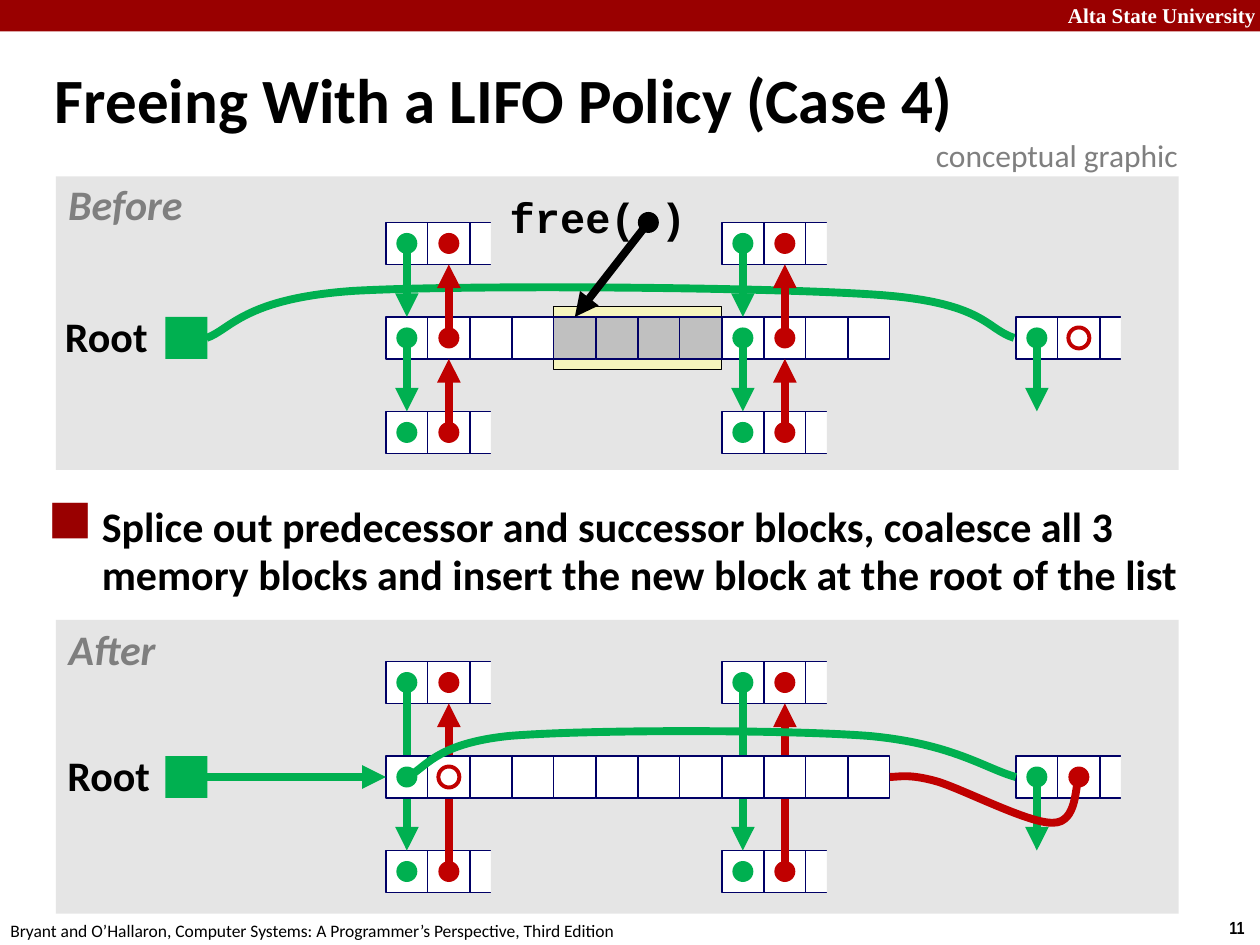
from dataclasses import dataclass
from typing import NamedTuple

from lxml import etree
from pptx import Presentation
from pptx.dml.color import RGBColor
from pptx.enum.shapes import MSO_CONNECTOR, MSO_SHAPE
from pptx.enum.text import MSO_ANCHOR, PP_ALIGN
from pptx.oxml.ns import qn
from pptx.util import Inches, Pt

RECT, OVAL = MSO_SHAPE.RECTANGLE, MSO_SHAPE.OVAL
STRAIGHT = MSO_CONNECTOR.STRAIGHT
TOP, MIDDLE = MSO_ANCHOR.TOP, MSO_ANCHOR.MIDDLE
LEFT, CENTER, RIGHT = PP_ALIGN.LEFT, PP_ALIGN.CENTER, PP_ALIGN.RIGHT

COLORS = {
    "crimson": "990000", "white": "FFFFFF", "black": "000000",
    "panel": "E5E5E5", "muted": "7F7F7F", "navy": "000066",
    "freed": "C0C0C0", "highlight": "F6F5BD",
    "next": "00B050", "prev": "C00000",
}

WIDTH, HEIGHT = Inches(10), Inches(7.5)
CELL = Inches(1) / 3
FIRST_COLUMN = Inches(49) / 16
ROW_PITCH = 2.25
NEIGHBOR_COLUMNS = (0, 8)
TAIL_COLUMN = 15


class Area(NamedTuple):
    left: float
    top: float
    width: float
    height: float

    def lengths(self) -> tuple[int, ...]:
        sides = (WIDTH, HEIGHT, WIDTH, HEIGHT)
        return tuple(round(part * side / 100) for part, side in zip(self, sides))


@dataclass(frozen=True)
class Caption:
    text: str
    area: Area
    size: int
    color: str = "black"
    font: str = "Calibri"
    bold: bool = True
    italic: bool = False
    align: PP_ALIGN = LEFT
    anchor: MSO_ANCHOR = TOP
    inset: float = 0.1
    spacing: float = 1.0
    wrap: bool = False
    bullet: str = ""


@dataclass(frozen=True)
class Heap:
    panel: Area
    row_top: float

    def point(self, column: float, row: float) -> tuple[int, int]:
        return (round(FIRST_COLUMN + column * CELL),
                round(HEIGHT * self.row_top / 100 + row * CELL))


def rgb(color: str) -> RGBColor:
    return RGBColor.from_string(COLORS[color])


def add_figure(kind: MSO_SHAPE, lengths: tuple[int, ...], fill: str = "",
               line: str = "", weight: float = 0.75) -> None:
    figure = slide.shapes.add_shape(kind, *lengths)
    figure.shadow.inherit = False
    if fill:
        figure.fill.solid()
        figure.fill.fore_color.rgb = rgb(fill)
    else:
        figure.fill.background()
    if line:
        figure.line.color.rgb = rgb(line)
        figure.line.width = Pt(weight)
    else:
        figure.line.fill.background()


def add_caption(caption: Caption) -> None:
    frame = slide.shapes.add_textbox(*caption.area.lengths()).text_frame
    frame.word_wrap = caption.wrap
    frame.vertical_anchor = caption.anchor
    frame.margin_left = frame.margin_right = Inches(caption.inset)
    frame.margin_top = frame.margin_bottom = Inches(0.05)
    paragraph = frame.paragraphs[0]
    paragraph.alignment = caption.align
    paragraph.line_spacing = caption.spacing
    if caption.bullet:
        properties = paragraph._p.get_or_add_pPr()
        properties.set("marL", str(Inches(0.38)))
        properties.set("indent", str(-Inches(0.38)))
        tint = etree.SubElement(properties, qn("a:buClr"))
        etree.SubElement(tint, qn("a:srgbClr"), val=COLORS["crimson"])
        etree.SubElement(properties, qn("a:buFont"), typeface="Wingdings 2", charset="2")
        etree.SubElement(properties, qn("a:buChar"), char=caption.bullet)
    run = paragraph.add_run()
    run.text = caption.text
    run.font.name = caption.font
    run.font.size = Pt(caption.size)
    run.font.bold = caption.bold
    run.font.italic = caption.italic
    run.font.color.rgb = rgb(caption.color)


def add_box(heap: Heap, column: float, row: float, width: float = 1,
            height: float = 1, fill: str = "white", line: str = "navy") -> None:
    size = (round(width * CELL), round(height * CELL))
    add_figure(RECT, heap.point(column, row) + size, fill, line)


def add_cells(heap: Heap, column: int, row: float, count: int, fill: str = "white") -> None:
    for step in range(count):
        add_box(heap, column + step, row, fill=fill)


def add_stub(heap: Heap, column: int, row: float) -> None:
    add_cells(heap, column, row, 3)
    add_box(heap, column + 2.5, row - 0.25, 1, 1.5, "panel", "")


def add_dot(heap: Heap, column: float, row: float, color: str, hollow: bool = False) -> None:
    size = round(CELL / 2)
    lengths = heap.point(column - 0.25, row - 0.25) + (size, size)
    if hollow:
        add_figure(OVAL, lengths, line=color, weight=2.25)
    else:
        add_figure(OVAL, lengths, color)


def add_arrow(heap: Heap, start: tuple[float, float], end: tuple[float, float],
              color: str) -> None:
    arrow = slide.shapes.add_connector(STRAIGHT, *heap.point(*start), *heap.point(*end))
    arrow.line.color.rgb = rgb(color)
    arrow.line.width = Pt(4.5)
    etree.SubElement(arrow.line._get_or_add_ln(), qn("a:tailEnd"), type="triangle")
    etree.SubElement(arrow._element.spPr, qn("a:effectLst"))


def add_curve(heap: Heap, knots: list[tuple[float, float]], color: str) -> None:
    start, *rest = [heap.point(*knot) for knot in knots]
    builder = slide.shapes.build_freeform(*start)
    builder.add_line_segments(rest, close=False)
    curve = builder.convert_to_shape()
    segments = list(curve._element.iter(qn("a:lnTo")))
    for first in range(0, len(segments), 3):
        bend, *others = segments[first:first + 3]
        bend.tag = qn("a:cubicBezTo")
        for segment in others:
            bend.append(segment[0])
            segment.getparent().remove(segment)
    curve.shadow.inherit = False
    curve.fill.background()
    curve.line.color.rgb = rgb(color)
    curve.line.width = Pt(4.5)


def add_neighbors(heap: Heap) -> None:
    for column in NEIGHBOR_COLUMNS:
        for row in (-ROW_PITCH, ROW_PITCH):
            add_stub(heap, column, row)
            add_dot(heap, column + 0.5, row + 0.5, "next")
            add_dot(heap, column + 1.5, row + 0.5, "prev")


def add_list_ends(heap: Heap, last_hollow: bool) -> None:
    add_box(heap, -5.25, 0, fill="next", line="")
    add_stub(heap, TAIL_COLUMN, 0)
    add_dot(heap, TAIL_COLUMN + 0.5, 0.5, "next")
    add_arrow(heap, (TAIL_COLUMN + 0.5, 0.5), (TAIL_COLUMN + 0.5, ROW_PITCH), "next")
    add_dot(heap, TAIL_COLUMN + 1.5, 0.5, "prev", last_hollow)


def draw_before(heap: Heap) -> None:
    add_figure(RECT, heap.panel.lengths(), "panel")
    add_box(heap, 4, -0.25, 4, 1.5, "highlight", "black")
    add_curve(heap, [(-4.27, 0.5), (-3.7, 0.31), (-3.4, -0.44), (-0.76, -0.62),
                     (1.91, -0.77), (9.02, -0.71), (11.66, -0.53),
                     (14.27, -0.35), (14.27, 0.28), (14.96, 0.5)], "next")
    for column, fill in ((0, "white"), (4, "freed"), (8, "white")):
        add_cells(heap, column, 0, 4, fill)
    add_neighbors(heap)
    for column in NEIGHBOR_COLUMNS:
        down, up = column + 0.5, column + 1.5
        add_dot(heap, down, 0.5, "next")
        add_dot(heap, up, 0.5, "prev")
        for row in (0, ROW_PITCH):
            add_arrow(heap, (down, row + 0.5 - ROW_PITCH), (down, row), "next")
            add_arrow(heap, (up, row + 0.5), (up, row + 1 - ROW_PITCH), "prev")
    add_list_ends(heap, last_hollow=True)
    add_dot(heap, 6.25, -ROW_PITCH, "black")
    add_arrow(heap, (6.25, -ROW_PITCH), (4.5, 0), "black")


def draw_after(heap: Heap) -> None:
    add_figure(RECT, heap.panel.lengths(), "panel")
    add_neighbors(heap)
    for column in NEIGHBOR_COLUMNS:
        down, up = column + 0.5, column + 1.5
        add_arrow(heap, (down, 0.5 - ROW_PITCH), (down, ROW_PITCH), "next")
        add_arrow(heap, (up, 0.5 + ROW_PITCH), (up, 1 - ROW_PITCH), "prev")
    add_cells(heap, 0, 0, 12)
    add_dot(heap, 0.5, 0.5, "next")
    add_dot(heap, 1.5, 0.5, "prev", hollow=True)
    add_list_ends(heap, last_hollow=False)
    add_arrow(heap, (-4.5, 0.5), (0, 0.5), "next")
    add_curve(heap, [(0.5, 0.5), (0.92, 0.33), (1.13, -0.3), (2.96, -0.48),
                     (4.79, -0.63), (9.47, -0.63), (11.48, -0.48),
                     (13.49, -0.3), (14.27, 0.3), (15, 0.5)], "next")
    add_curve(heap, [(16.5, 0.5), (16.41, 0.69), (16.47, 1.59), (15.89, 1.59),
                     (15.32, 1.62), (13.73, 0.78), (13.1, 0.6),
                     (12.44, 0.42), (12.23, 0.5), (12, 0.5)], "prev")


def label(text: str, area: Area, **style) -> Caption:
    return Caption(text, area, 24, align=CENTER, inset=0.05, spacing=0.9, **style)


CAPTIONS = [
    Caption("Alta State University", Area(83.4, -0.4, 17.25, 4), 12, "white",
            "Times New Roman", align=RIGHT),
    Caption("11", Area(96.6, 96.4, 3.4, 3.6), 10, font="Arial Narrow"),
    Caption("Bryant and O’Hallaron, Computer Systems: A Programmer’s Perspective, Third Edition",
            Area(-0.16, 96.67, 50.8, 3.6), 10, bold=False),
    Caption("Freeing With a LIFO Policy (Case 4)", Area(3.38, 5.2, 95.3, 11.47), 36,
            anchor=MIDDLE, spacing=0.87, wrap=True),
    Caption("Splice out predecessor and successor blocks, coalesce all 3 memory blocks "
            "and insert the new block at the root of the list",
            Area(3.3, 52.67, 92.7, 16.53), 24, spacing=0.95, wrap=True, bullet="¢"),
    Caption("conceptual graphic", Area(73.3, 13.73, 21.7, 5.33), 18, "muted", bold=False),
    label("free( )", Area(39.9, 20.27, 15.1, 6.27), font="Courier New"),
    label("Root", Area(4.64, 32.8, 7.6, 6.27)),
    label("Root", Area(4.84, 79.25, 7.6, 6.27)),
    label("Before", Area(4.8, 18.8, 10.3, 6.27), color="muted", italic=True),
    label("After", Area(4.84, 65.93, 8.1, 6.27), color="muted", italic=True),
]

deck = Presentation()
deck.slide_width, deck.slide_height = WIDTH, HEIGHT
slide = deck.slides.add_slide(deck.slide_layouts[6])
add_figure(RECT, Area(0, 0, 100, 3.33).lengths(), "crimson")
draw_before(Heap(Area(4.44, 18.65, 89.1, 31.07), 33.54))
draw_after(Heap(Area(4.44, 65.6, 89.1, 31.07), 80))
for caption in CAPTIONS:
    add_caption(caption)
deck.save("out.pptx")
